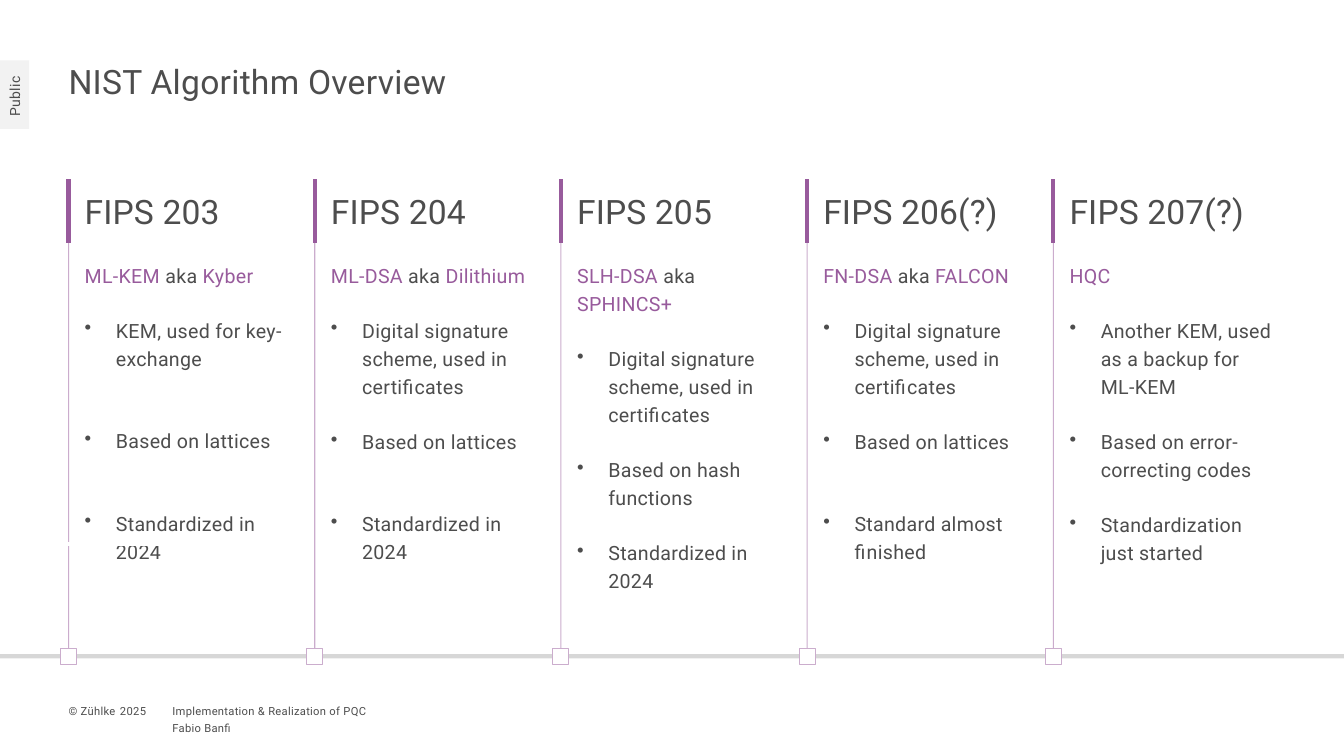
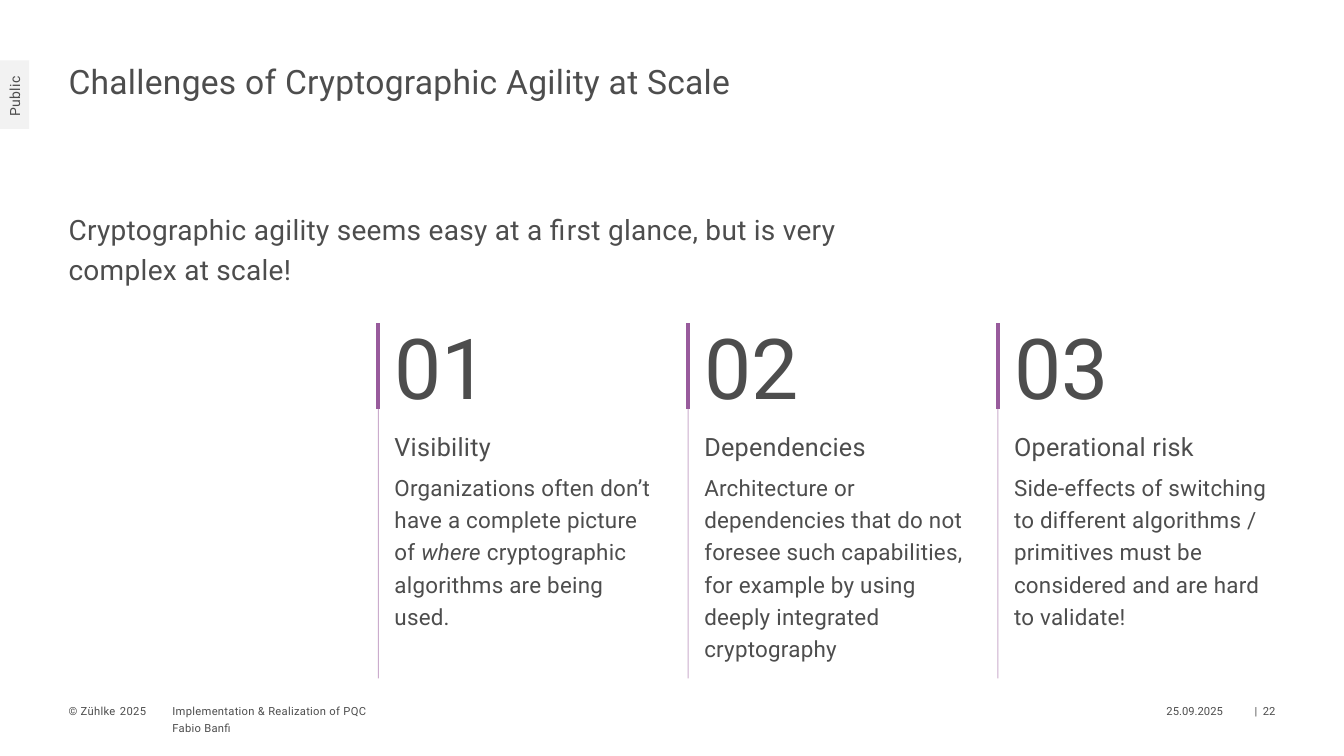
"""Build two slides about post-quantum algorithms and cryptographic agility."""
import pptx
import pptx.dml.color
import pptx.enum.shapes
import pptx.enum.text
import pptx.oxml
import pptx.oxml.ns
import pptx.util

RGBColor = pptx.dml.color.RGBColor
Inches = pptx.util.Inches
Pt = pptx.util.Pt
Align = pptx.enum.text.PP_ALIGN
Anchor = pptx.enum.text.MSO_ANCHOR

TEXT = RGBColor(0x4D, 0x4D, 0x4D)
PURPLE = RGBColor(0x98, 0x5B, 0x9C)
LILAC = RGBColor(0xCB, 0xAD, 0xCD)
GREY = RGBColor(0x66, 0x66, 0x66)
PALE = RGBColor(0xF2, 0xF2, 0xF2)
WHITE = RGBColor(0xFF, 0xFF, 0xFF)

FONT = "Roboto"
WIDTH, HEIGHT = 13.33, 7.5
MARGIN = 0.68
CONTENT = WIDTH - 2 * MARGIN
INDENT = 0.16
FOOTER_TOP, FOOTER_HEIGHT = 6.97, 0.16
TIMELINE = 6.51
MARKER = 0.16
BLANK_LINE = 19.7

SIGNATURE = "Digital signature scheme, used in certificates"
STANDARDS = [
    ("FIPS 203", "*ML-KEM* aka *Kyber*",
     [("KEM, used for key-exchange", 1), ("Based on lattices", 1), ("Standardized in 2024", 0)]),
    ("FIPS 204", "*ML-DSA* aka *Dilithium*",
     [(SIGNATURE, 0), ("Based on lattices", 1), ("Standardized in 2024", 0)]),
    ("FIPS 205", "*SLH-DSA* aka *SPHINCS+*",
     [(SIGNATURE, 0), ("Based on hash functions", 0), ("Standardized in 2024", 0)]),
    ("FIPS 206(?)", "*FN-DSA* aka *FALCON*",
     [(SIGNATURE, 0), ("Based on lattices", 1), ("Standard almost finished", 0)]),
    ("FIPS 207(?)", "*HQC*",
     [("Another KEM, used as a backup for ML-KEM", 0), ("Based on error-correcting codes", 0),
      ("Standardization just started", 0)]),
]
CHALLENGES = [
    ("Visibility", "Organizations often don’t have a complete picture of *where* "
     "cryptographic algorithms are being used."),
    ("Dependencies", "Architecture or dependencies that do not foresee such capabilities, "
     "for example by using deeply integrated cryptography"),
    ("Operational risk", "Side-effects of switching to different algorithms / primitives "
     "must be considered and are hard to validate!"),
]


def column_grid(count, gap):
    """Return the left edges and the width of equal columns."""
    pitch = (CONTENT + gap) / count
    return [MARGIN + index * pitch for index in range(count)], pitch - gap


def write(frame, text, size=14, spacing=0.2, align=Align.LEFT, line_spacing=None,
          before=0, after=0, bullet=False, accent=TEXT, accent_italic=False):
    """Append a paragraph; parts between asterisks take the accent format."""
    first = not frame.paragraphs[0].runs
    paragraph = frame.paragraphs[0] if first else frame.add_paragraph()
    if bullet:
        properties = paragraph._p.get_or_add_pPr()
        properties.set("marL", str(Inches(0.31)))
        properties.set("indent", str(-Inches(0.31)))
        mark = pptx.oxml.parse_xml(
            '<a:buChar %s char="•"/>' % pptx.oxml.ns.nsdecls("a"))
        properties.append(mark)
    paragraph.alignment = align
    if line_spacing:
        paragraph.line_spacing = line_spacing
    paragraph.space_before = Pt(0 if first else before)
    paragraph.space_after = Pt(after)
    for index, part in enumerate(text.split("*")):
        if part:
            accented = index % 2 == 1
            run = paragraph.add_run()
            run.text = part
            run.font.name = FONT
            run.font.size = Pt(size)
            run.font.italic = accented and accent_italic
            run.font.color.rgb = accent if accented else TEXT
            run._r.get_or_add_rPr().set("spc", str(round(spacing * 100)))


def set_frame(frame, insets=(0, 0, 0, 0), anchor=Anchor.TOP, wrap=True):
    """Set the insets, anchor and wrapping of a text frame."""
    frame.margin_left, frame.margin_top, frame.margin_right, frame.margin_bottom = map(Inches, insets)
    frame.vertical_anchor = anchor
    frame.word_wrap = wrap
    return frame


def add_frame(slide, left, top, width, height, **layout):
    """Add a text box and return its text frame."""
    shape = slide.shapes.add_textbox(*map(Inches, (left, top, width, height)))
    return set_frame(shape.text_frame, **layout)


def add_rectangle(slide, left, top, width, height, fill, outline=None):
    """Add a flat rectangle."""
    shape = slide.shapes.add_shape(pptx.enum.shapes.MSO_SHAPE.RECTANGLE,
                                   *map(Inches, (left, top, width, height)))
    shape.shadow.inherit = False
    shape.fill.solid()
    shape.fill.fore_color.rgb = fill
    if outline is None:
        shape.line.fill.background()
    else:
        shape.line.color.rgb = outline
        shape.line.width = Pt(0.75)
    return shape


def add_line(slide, start, end, color, width, opacity=100):
    """Add a straight line, see-through below full opacity."""
    connector = slide.shapes.add_connector(
        pptx.enum.shapes.MSO_CONNECTOR.STRAIGHT, *map(Inches, start + end))
    connector.line.color.rgb = color
    connector.line.width = Pt(width)
    properties = connector._element.spPr
    if opacity < 100:
        alpha = pptx.oxml.parse_xml('<a:alpha %s val="%d"/>' % (
            pptx.oxml.ns.nsdecls("a"), opacity * 1000))
        properties.xpath(".//a:srgbClr")[0].append(alpha)
    properties.append(pptx.oxml.parse_xml(
        "<a:effectLst %s/>" % pptx.oxml.ns.nsdecls("a")))


def add_footer(slide, text, left, width, row=0, **style):
    """Add a small footer text on one of two rows."""
    frame = add_frame(slide, left, FOOTER_TOP + row * 0.17, width, FOOTER_HEIGHT,
                      anchor=Anchor.MIDDLE)
    write(frame, text, size=8, **style)


def add_base_slide(presentation, title):
    """Add a blank slide with title, label and footer."""
    slide = presentation.slides.add_slide(presentation.slide_layouts[6])
    add_footer(slide, "© Zühlke", MARGIN, 0.48)
    add_footer(slide, "2025", 1.19, 0.28)
    add_footer(slide, "Implementation & Realization of PQC", 1.71, 4.8)
    add_footer(slide, "Fabio Banfi", 1.71, 4.8, row=1)
    label = add_rectangle(slide, 0, 0.6, 0.29, 0.68, PALE)
    frame = set_frame(label.text_frame, (0.06, 0.16, 0.06, 0.16), Anchor.MIDDLE, wrap=False)
    frame._txBody.bodyPr.set("vert", "vert270")
    write(frame, "Public", size=10, align=Align.RIGHT)
    write(add_frame(slide, MARGIN, 0.6, 9.92, 0.47), title, size=24)
    return slide


def add_column(slide, left, width, top, middle, bottom, heading, heading_size):
    """Add a ruled column with its heading and return the body frame."""
    add_line(slide, (left, bottom), (left, middle), PURPLE, 0.75, opacity=50)
    add_line(slide, (left, middle), (left, top), PURPLE, 3)
    frame = add_frame(slide, left, top, width, middle - top,
                      insets=(INDENT, 0, 0, 0), anchor=Anchor.MIDDLE)
    write(frame, heading, size=heading_size, spacing=0.1)
    return add_frame(slide, left, middle, width, bottom - middle,
                     insets=(INDENT, INDENT, 0, 0))


def add_standard(slide, left, width, heading, names, facts):
    """Add the column of one standard."""
    frame = add_column(slide, left, width, 1.78, 2.41, TIMELINE - MARKER / 2, heading, 24)
    write(frame, names, line_spacing=1.2, after=3, accent=PURPLE)
    for fact, blank_lines in facts:
        write(frame, fact, line_spacing=1.2, before=16,
              after=3 + blank_lines * BLANK_LINE, bullet=True)


def build_overview(presentation):
    """Build the overview of the standards on a timeline."""
    slide = add_base_slide(presentation, "NIST Algorithm Overview")
    lefts, width = column_grid(5, 0.24)
    add_standard(slide, lefts[0], width, *STANDARDS[0])
    add_line(slide, (0, 5.4), (WIDTH, 5.4), WHITE, 3)
    add_line(slide, (0, TIMELINE), (WIDTH, TIMELINE), GREY, 3, opacity=25)
    for left, standard in zip(lefts[1:], STANDARDS[1:]):
        add_standard(slide, left, width, *standard)
    for left in lefts:
        add_rectangle(slide, left - MARKER / 2, TIMELINE - MARKER / 2, MARKER, MARKER,
                      WHITE, LILAC)


def build_challenges(presentation):
    """Build the three numbered challenges."""
    slide = add_base_slide(presentation, "Challenges of Cryptographic Agility at Scale")
    add_footer(slide, "25.09.2025", 11.39, 0.74, spacing=0, align=Align.RIGHT)
    add_footer(slide, "|", 12.22, 0.25, spacing=0, align=Align.RIGHT)
    add_footer(slide, "22", 12.47, 0.18, spacing=0, align=Align.RIGHT)
    frame = add_frame(slide, MARGIN, 2.04, 7.72, 0.55, wrap=False)
    write(frame, "Cryptographic agility seems easy at a first glance, "
          "but is very complex at scale!", size=20, line_spacing=1.2, after=3)
    lefts, width = column_grid(4, 0.32)
    for number, (left, (heading, detail)) in enumerate(zip(lefts[1:], CHALLENGES), 1):
        frame = add_column(slide, left, width, 3.2, 4.06, 6.73, f"{number:02}", 60)
        write(frame, heading, size=18, line_spacing=1.2, after=3)
        write(frame, detail, size=16, line_spacing=1.2, before=2, after=3, accent_italic=True)


def main():
    """Build and save the presentation."""
    presentation = pptx.Presentation()
    presentation.slide_width = Inches(WIDTH)
    presentation.slide_height = Inches(HEIGHT)
    build_overview(presentation)
    build_challenges(presentation)
    presentation.save("out.pptx")


if __name__ == "__main__":
    main()
